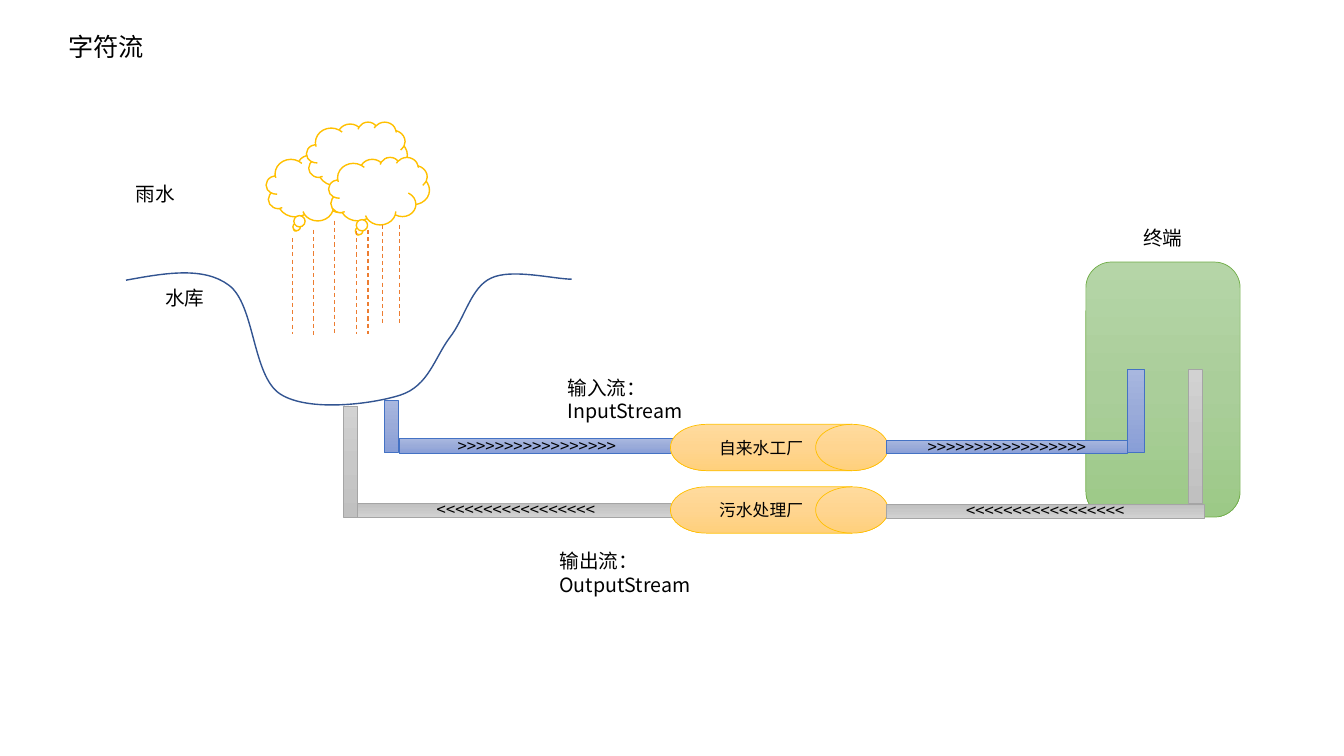
from copy import deepcopy

from lxml.etree import SubElement
from pptx import Presentation
from pptx.dml.color import RGBColor
from pptx.enum.dml import MSO_LINE
from pptx.enum.shapes import MSO_CONNECTOR, MSO_SHAPE
from pptx.enum.text import MSO_ANCHOR, PP_ALIGN
from pptx.oxml.ns import qn
from pptx.util import Pt

EMU_PER_PX = 9144
FONT = "Noto Sans CJK SC"
FLOW = ">" * 17
GREEN = (("B5D5A7", "AACE9A", "9CC987"), "70AD47")
BLUE = (("A8B7DF", "9AABD9", "889ED7"), "4472C4")
GREY = (("D2D2D2", "C8C8C8", "C0C0C0"), "A5A5A5")
ORANGE = (("FFDB9E", "FFD590", "FFD07C"), "FFC000")


def px(length):
    """Turn a length in px into EMU."""
    return length * EMU_PER_PX


def color(value):
    """Turn a hex string into a colour."""
    return RGBColor.from_string(value)


def within(box, part):
    """Move a part given relative to a box to its place on the slide."""
    return box[0] + part[0], box[1] + part[1], part[2], part[3]


def write(frame, text, size=14, align=PP_ALIGN.LEFT, anchor=MSO_ANCHOR.TOP, wrap=True):
    """Put one formatted paragraph into a text frame."""
    frame.word_wrap = wrap
    frame.vertical_anchor = anchor
    paragraph = frame.paragraphs[0]
    paragraph.alignment = align
    run = paragraph.add_run()
    run.text = text
    run.font.size = Pt(size)
    run.font.color.rgb = color("000000")
    run.font.name = FONT
    SubElement(run.font._element, qn("a:ea"), typeface=FONT)


def add_label(slide, box, text, **text_format):
    """Add a text box."""
    label = slide.shapes.add_textbox(*map(px, box))
    write(label.text_frame, text, **text_format)


def add_block(slide, kind, box, theme, text=None, rotation=0):
    """Add a shape with a vertical three-stop gradient and optional centred text."""
    shape = slide.shapes.add_shape(kind, *map(px, box))
    shape.shadow.inherit = False
    shape.rotation = rotation
    stop_colors, line_color = theme
    shape.fill.gradient()
    shape.fill.gradient_angle = 270
    first_stop = next(shape._element.iter(qn("a:gs")))
    first_stop.addnext(deepcopy(first_stop))
    for index, stop in enumerate(shape.fill.gradient_stops):
        stop.position = index / 2
        stop.color.rgb = color(stop_colors[index])
    shape.line.color.rgb = color(line_color)
    shape.line.width = Pt(0.5)
    if text:
        write(shape.text_frame, text, size=12, align=PP_ALIGN.CENTER, anchor=MSO_ANCHOR.MIDDLE)


def add_basin(slide, box):
    """Draw the curved outline of the reservoir."""
    left, top, width, height = box
    builder = slide.shapes.build_freeform(left, top, scale=EMU_PER_PX)
    builder.add_line_segments([(left + width, top + height)], close=False)
    basin = builder.convert_to_shape()
    basin.shadow.inherit = False
    basin.fill.background()
    basin.line.color.rgb = color("325491")
    basin.line.width = Pt(1)
    curves = [
        [(38, 0), (77, -7), (102, 12)],
        [(128, 31), (125, 102), (153, 120)],
        [(181, 138), (244, 130), (272, 121)],
        [(300, 112), (306, 84), (321, 64)],
        [(336, 45), (342, 14), (362, 5)],
        [(382, -5), (425, 6), (442, 6)],
    ]
    outline = next(basin._element.iter(qn("a:path")))
    for step in list(outline):
        outline.remove(step)
    for tag, points in [("a:moveTo", [(0, 7)])] + [("a:cubicBezTo", curve) for curve in curves]:
        step = SubElement(outline, qn(tag))
        for x, y in points:
            SubElement(step, qn("a:pt"), x=str(x), y=str(y))


def add_rain(slide, box):
    """Draw three clouds and the dashed rain beneath them."""
    for x, y in [(0, 31), (40, 0), (62, 35)]:
        cloud_box = within(box, (x, y, 100, 67))
        cloud = slide.shapes.add_shape(MSO_SHAPE.CLOUD_CALLOUT, *map(px, cloud_box))
        cloud.shadow.inherit = False
        cloud.fill.solid()
        cloud.fill.fore_color.rgb = color("FFFFFF")
        cloud.line.color.rgb = color("FFC000")
        cloud.line.width = Pt(1)
    drops = [(26, 115, 210), (47, 107, 212), (68, 98, 210), (90, 108, 210),
             (115, 102, 200), (101, 107, 210), (132, 102, 200)]
    for x, start, end in drops:
        x = px(box[0] + x)
        drop = slide.shapes.add_connector(
            MSO_CONNECTOR.STRAIGHT, x, px(box[1] + start), x, px(box[1] + end))
        drop.line.color.rgb = color("ED7D31")
        drop.line.width = Pt(0.75)
        drop.line.dash_style = MSO_LINE.DASH
        SubElement(drop._element.spPr, qn("a:effectLst"))


def add_reservoir(slide, box):
    """Draw the reservoir with its rain and labels."""
    add_basin(slide, within(box, (0, 150, 442, 131)))
    add_label(slide, within(box, (0, 55, 59, 34)), "雨水", wrap=False)
    add_label(slide, within(box, (29, 158, 59, 34)), "水库", wrap=False)
    add_rain(slide, within(box, (139, 0, 162, 212)))


def add_terminal(slide, box):
    """Draw the terminal with its label on top."""
    add_block(slide, MSO_SHAPE.ROUNDED_RECTANGLE, within(box, (0, 41, 153, 253)), GREEN)
    add_label(slide, within(box, (47, 0, 59, 34)), "终端", wrap=False)


def add_stream(slide, box, theme, plant, caption, risers, pipes, drum, caption_box, rotation=0):
    """Draw two risers joined by pipes through a plant, with a caption."""
    for riser in risers:
        add_block(slide, MSO_SHAPE.RECTANGLE, within(box, riser), theme)
    left_pipe, right_pipe = (within(box, pipe) for pipe in pipes)
    add_block(slide, MSO_SHAPE.RECTANGLE, left_pipe, theme, FLOW, rotation)
    add_block(slide, MSO_SHAPE.FLOWCHART_DIRECT_ACCESS_STORAGE, within(box, drum), ORANGE, plant)
    add_block(slide, MSO_SHAPE.RECTANGLE, right_pipe, theme, FLOW, rotation)
    add_label(slide, within(box, caption_box), caption)


def main():
    """Build the slide and save it."""
    presentation = Presentation()
    presentation.slide_width = px(1333)
    presentation.slide_height = px(750)
    slide = presentation.slides.add_slide(presentation.slide_layouts[6])
    add_terminal(slide, (1077, 219, 153, 294))
    add_reservoir(slide, (125, 121, 442, 281))
    add_stream(
        slide, (381, 366, 754, 101), BLUE, "自来水工厂", "输入流：InputStream",
        risers=[(0, 31, 14, 52), (737, 0, 17, 83)],
        pipes=[(15, 69, 273, 15), (498, 71, 239, 13)],
        drum=(284, 55, 216, 46), caption_box=(172, 2, 203, 34))
    add_stream(
        slide, (341, 366, 853, 208), GREY, "污水处理厂", "输出流：OutputStream",
        risers=[(0, 37, 14, 110), (838, 0, 14, 133)],
        pipes=[(13, 133, 315, 14), (538, 134, 315, 14)],
        drum=(324, 117, 216, 46), caption_box=(204, 174, 219, 34), rotation=180)
    add_label(slide, (58, 26, 96, 40), "字符流", size=18, wrap=False)
    presentation.save("out.pptx")


if __name__ == "__main__":
    main()
